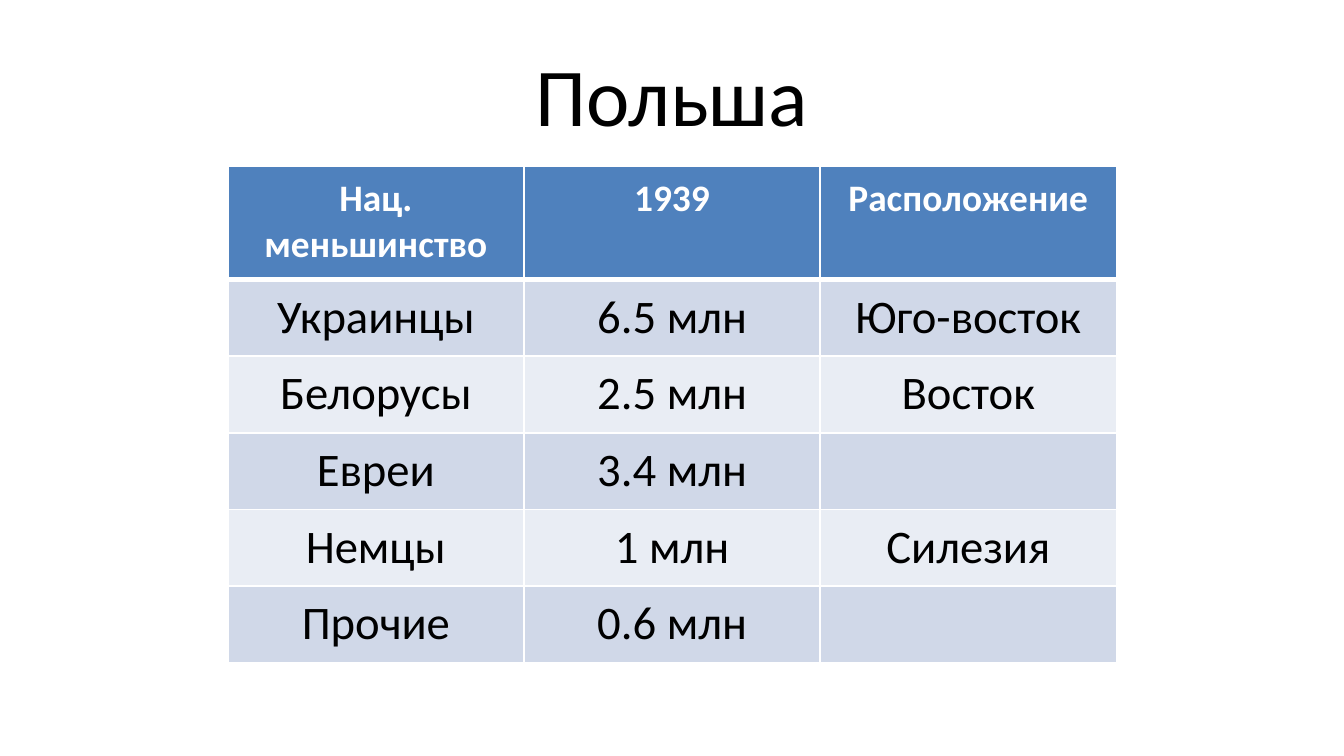
import pptx
import pptx.dml.color
import pptx.enum.text
import pptx.oxml
import pptx.oxml.ns
import pptx.util
from dataclasses import dataclass

Pt = pptx.util.Pt


@dataclass(frozen=True)
class Theme:
    """Colours, font and type sizes of the slide."""
    font: str = "Calibri"
    text: str = "000000"
    light: str = "FFFFFF"
    header: str = "4F81BD"
    bands: tuple = ("D0D8E8", "E9EDF4")
    title_size: int = 44
    header_size: int = 20
    body_size: int = 25


class Deck:
    """Holds the style and the current slide."""

    def __init__(self, prs, theme):
        """Add a title-only slide."""
        self.theme = theme
        self.slide = prs.slides.add_slide(prs.slide_layouts[5])

    def format(self, tf, size, color, bold=False):
        """Centre and style every paragraph of a text frame."""
        for p in tf.paragraphs:
            p.alignment = pptx.enum.text.PP_ALIGN.CENTER
            p.font.name = self.theme.font
            p.font.size = Pt(size)
            p.font.bold = bold
            p.font.color.rgb = pptx.dml.color.RGBColor.from_string(color)

    def title(self, text, left, top, width, height):
        """Place and fill the title placeholder."""
        sp = self.slide.shapes.title
        sp.left, sp.top, sp.width, sp.height = map(Pt, (left, top, width, height))
        tf = sp.text_frame
        tf.text = text
        tf.vertical_anchor = pptx.enum.text.MSO_ANCHOR.MIDDLE
        self.format(tf, self.theme.title_size, self.theme.text)

    def borders(self, cell, top, bottom):
        """Draw the cell's edges, with the given top and bottom widths."""
        tc_pr = cell._tc.get_or_add_tcPr()
        edges = (("lnL", 1), ("lnR", 1), ("lnT", top), ("lnB", bottom))
        for i, (tag, width) in enumerate(edges):
            tc_pr.insert(i, pptx.oxml.parse_xml(
                f'<a:{tag} {pptx.oxml.ns.nsdecls("a")} w="{Pt(width)}"><a:solidFill>'
                f'<a:srgbClr val="{self.theme.light}"/></a:solidFill></a:{tag}>'))

    def cell(self, cell, text, row):
        """Fill and style one cell; row 0 is the header."""
        t = self.theme
        cell.text = text
        cell.margin_left = cell.margin_right = Pt(10)
        cell.margin_top = cell.margin_bottom = Pt(5)
        cell.fill.solid()
        fill = t.bands[(row - 1) % 2] if row else t.header
        cell.fill.fore_color.rgb = pptx.dml.color.RGBColor.from_string(fill)
        if row:
            self.format(cell.text_frame, t.body_size, t.text)
        else:
            self.format(cell.text_frame, t.header_size, t.light, bold=True)
        self.borders(cell, 3 if row == 1 else 1, 1 if row else 3)

    def table(self, rows, left, top, col_width, header_height, row_height):
        """Add a table with a header and banded rows."""
        cols = len(rows[0])
        height = header_height + row_height * (len(rows) - 1)
        table = self.slide.shapes.add_table(
            len(rows), cols, Pt(left), Pt(top),
            Pt(col_width * cols), Pt(height)).table
        for column in table.columns:
            column.width = Pt(col_width)
        for i, values in enumerate(rows):
            table.rows[i].height = Pt(row_height if i else header_height)
            for j, text in enumerate(values):
                self.cell(table.cell(i, j), text, i)


MINORITIES = (
    ("Нац.\nменьшинство", "1939", "Расположение"),
    ("Украинцы", "6.5 млн", "Юго-восток"),
    ("Белорусы", "2.5 млн", "Восток"),
    ("Евреи", "3.4 млн", ""),
    ("Немцы", "1 млн", "Силезия"),
    ("Прочие", "0.6 млн", ""),
)


def main():
    """Build and save the slide."""
    prs = pptx.Presentation()
    prs.slide_width, prs.slide_height = Pt(720), Pt(405)
    deck = Deck(prs, Theme())
    deck.title("Польша", 36, 16.5, 648, 67.5)
    deck.table(MINORITIES, 122, 89.3, 158.7, 60.4, 41.1)
    prs.save("out.pptx")


main()
